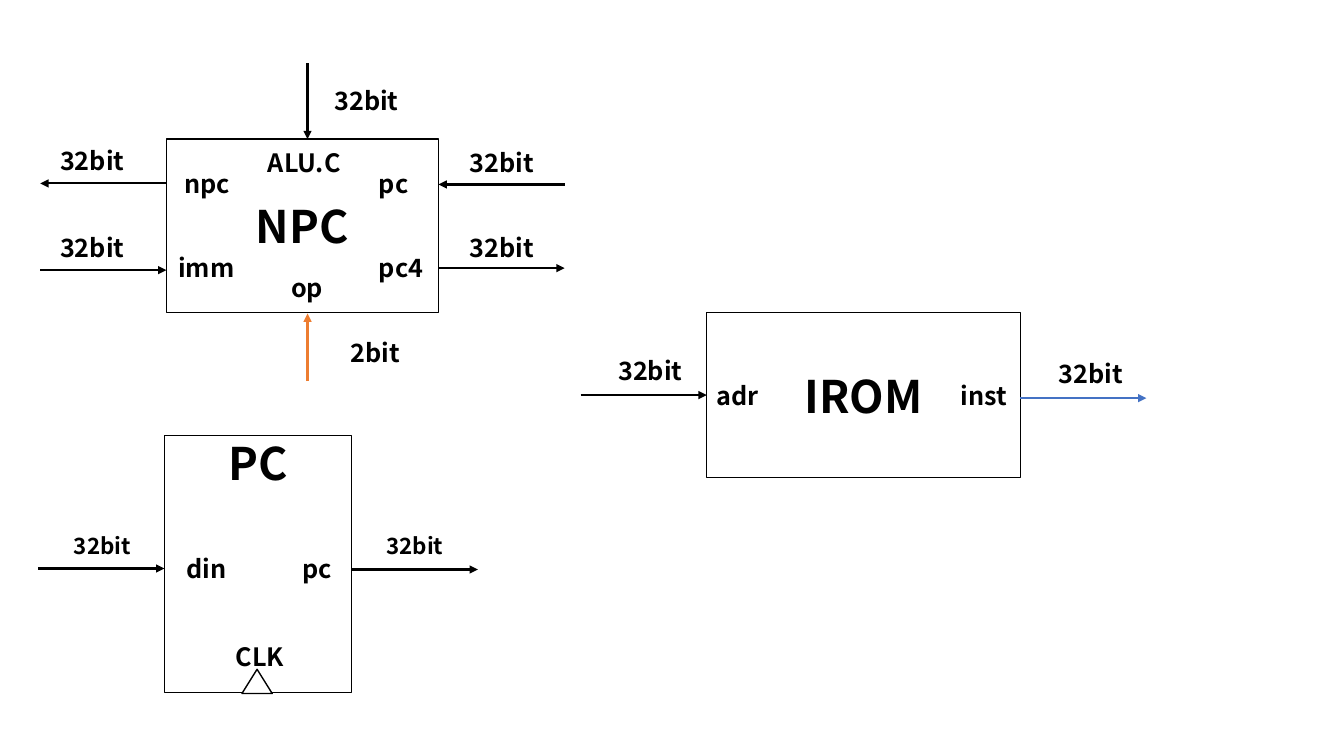
"""Build a slide with the block diagrams of the PC, IROM and NPC modules."""
from pptx import Presentation
from pptx.dml.color import RGBColor
from pptx.enum.shapes import MSO_CONNECTOR, MSO_SHAPE
from pptx.enum.text import MSO_ANCHOR, PP_ALIGN
from pptx.oxml.ns import qn
from pptx.util import Inches, Pt
from lxml.etree import SubElement

COLORS = {"black": "000000", "white": "FFFFFF", "blue": "4472C4", "orange": "ED7D31"}
FONT = "Noto Sans CJK SC"
LABEL_HEIGHT = 0.4
ARROW = 1.25
LEFT, CENTER = PP_ALIGN.LEFT, PP_ALIGN.CENTER


def write(shape, text, size, align):
    text_frame = shape.text_frame
    text_frame.word_wrap = True
    text_frame.text = text
    paragraph = text_frame.paragraphs[0]
    paragraph.alignment = align
    font = paragraph.runs[0].font
    font.name, font.size, font.bold = FONT, Pt(size), True
    font.color.rgb = RGBColor.from_string(COLORS["black"])


def add_outline(group, preset, box):
    shape = group.shapes.add_shape(preset, *map(Inches, box))
    shape.shadow.inherit = False
    shape.fill.background()
    shape.line.color.rgb = RGBColor.from_string(COLORS["black"])
    shape.line.width = Pt(1)
    return shape


modules = [
    {
        "name": "PC", "box": (1.63, 4.32, 1.86, 2.55), "anchor": MSO_ANCHOR.TOP,
        "clock": (2.4, 6.64, 0.3, 0.24), "width_size": 16,
        "ports": [("CLK", 2.24, 6.31, 0.88, LEFT), ("din", 1.75, 5.44, 0.65, LEFT),
                  ("pc", 2.9, 5.44, 0.55, LEFT)],
        "widths": [("32bit", 3.67, 5.23, 0.89), ("32bit", 0.57, 5.23, 0.89)],
        "arrows": [(3.49, 5.65, ARROW, 0, "black"), (0.38, 5.64, ARROW, 0, "black")],
    },
    {
        "name": "IROM", "box": (7.01, 3.1, 3.11, 1.64), "anchor": MSO_ANCHOR.MIDDLE,
        "clock": None, "width_size": 18,
        "ports": [("adr", 7.01, 3.72, 0.69, LEFT), ("inst", 9.43, 3.72, 0.69, LEFT)],
        "widths": [("32bit", 10.12, 3.51, 1.4), ("32bit", 5.75, 3.48, 1.4)],
        "arrows": [(5.76, 3.92, ARROW, 0, "black"), (10.12, 3.95, ARROW, 0, "blue")],
    },
    {
        "name": "NPC", "box": (1.65, 1.38, 2.7, 1.72), "anchor": MSO_ANCHOR.MIDDLE,
        "clock": None, "width_size": 18,
        "ports": [("pc", 3.66, 1.62, 0.69, LEFT), ("pc4", 3.66, 2.45, 0.69, LEFT),
                  ("npc", 1.73, 1.62, 0.69, LEFT), ("imm", 1.67, 2.45, 0.77, LEFT),
                  ("op", 2.7, 2.65, 0.69, CENTER), ("ALU.C", 2.56, 1.41, 0.97, LEFT)],
        "widths": [("32bit", 4.41, 2.26, 1.13), ("32bit", 0.26, 1.39, 1.31),
                   ("32bit", 0.26, 2.26, 1.31), ("32bit", 4.32, 1.41, 1.31),
                   ("32bit", 3.07, 0.8, 1.13), ("2bit", 3.07, 3.3, 1.31)],
        "arrows": [(3.05, 3.78, 0, -0.67, "orange"), (4.35, 2.66, ARROW, 0, "black"),
                   (5.6, 1.83, -ARROW, 0, "black"), (3.05, 0.63, 0, 0.75, "black"),
                   (1.65, 1.82, -ARROW, 0, "black"), (0.4, 2.68, ARROW, 0, "black")],
    },
]

presentation = Presentation()
presentation.slide_width, presentation.slide_height = Inches(13.33), Inches(7.5)
slide = presentation.slides.add_slide(presentation.slide_layouts[6])

for module in modules:
    group = slide.shapes.add_group_shape()
    block = add_outline(group, MSO_SHAPE.RECTANGLE, module["box"])
    write(block, module["name"], 32, CENTER)
    block.text_frame.vertical_anchor = module["anchor"]
    block.text_frame.margin_top = block.text_frame.margin_bottom = 0

    if module["clock"]:
        clock = add_outline(group, MSO_SHAPE.ISOSCELES_TRIANGLE, module["clock"])
        clock.fill.solid()
        clock.fill.fore_color.rgb = RGBColor.from_string(COLORS["white"])

    labels = [(*port, 18) for port in module["ports"]]
    labels += [(*width, CENTER, module["width_size"]) for width in module["widths"]]
    for text, left, top, width, align, size in labels:
        label = group.shapes.add_textbox(*map(Inches, (left, top, width, LABEL_HEIGHT)))
        write(label, text, size, align)

    for x, y, run, rise, color in module["arrows"]:
        ends = map(Inches, (x, y, x + run, y + rise))
        arrow = group.shapes.add_connector(MSO_CONNECTOR.STRAIGHT, *ends)
        arrow.line.color.rgb = RGBColor.from_string(COLORS[color])
        arrow.line.width = Pt(1.5)
        SubElement(arrow.line._get_or_add_ln(), qn("a:tailEnd"), type="triangle")
        SubElement(arrow._element.spPr, qn("a:effectLst"))

presentation.save("out.pptx")
